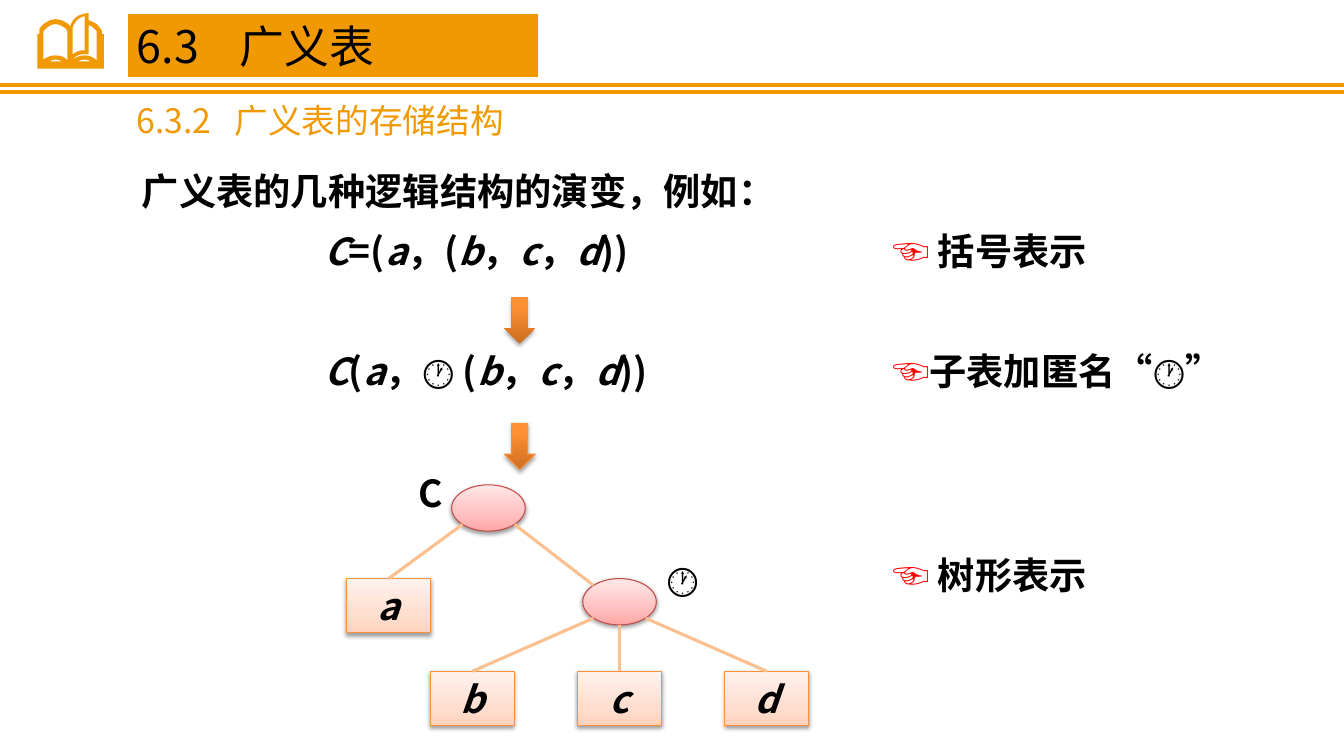
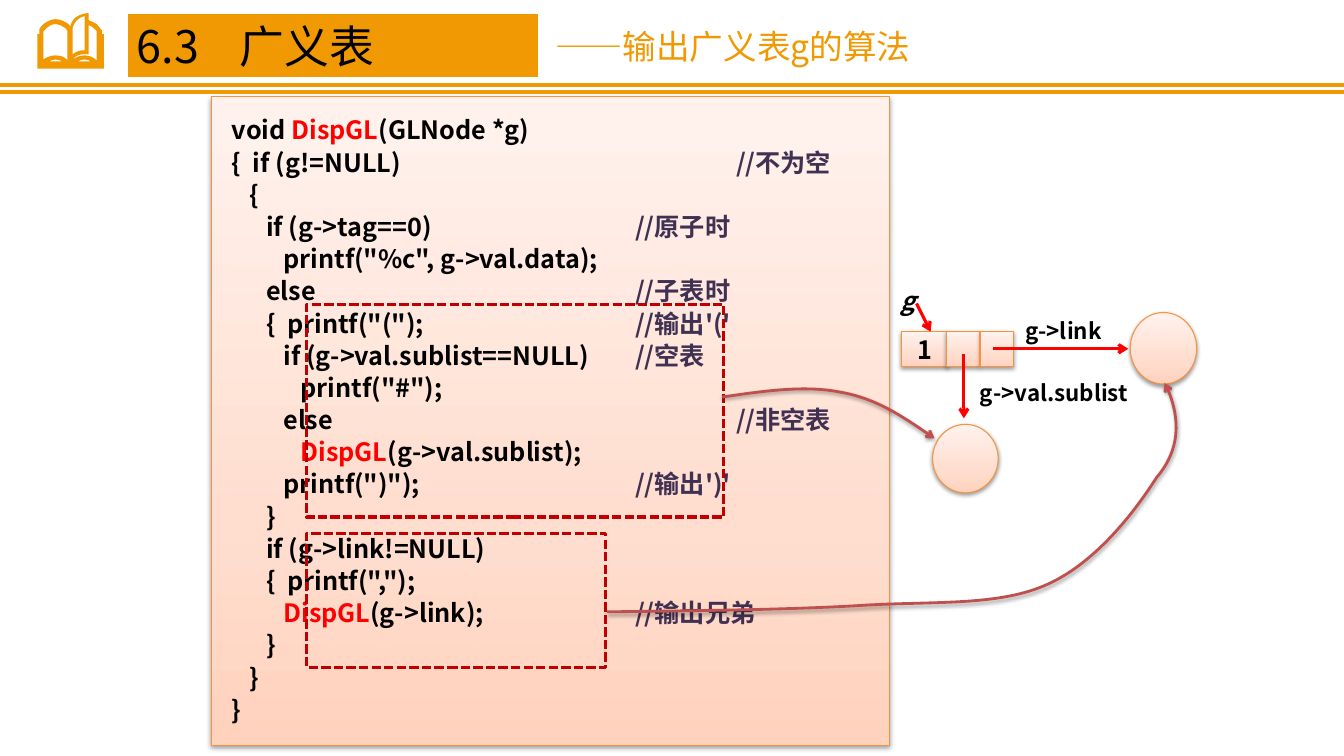
from dataclasses import dataclass
from itertools import groupby

from lxml import etree
from pptx import Presentation
from pptx.dml.color import RGBColor
from pptx.enum.dml import MSO_LINE
from pptx.enum.shapes import MSO_CONNECTOR, MSO_SHAPE
from pptx.enum.text import MSO_ANCHOR, PP_ALIGN
from pptx.oxml.ns import qn
from pptx.util import Inches, Pt

RECT, ELLIPSE, DOWN_ARROW = MSO_SHAPE.RECTANGLE, MSO_SHAPE.OVAL, MSO_SHAPE.DOWN_ARROW
STRAIGHT = MSO_CONNECTOR.STRAIGHT
DASHED = MSO_LINE.SQUARE_DOT
TOP, MIDDLE = MSO_ANCHOR.TOP, MSO_ANCHOR.MIDDLE
LEFT, CENTER = PP_ALIGN.LEFT, PP_ALIGN.CENTER
TOP_SIDE = 0


@dataclass(frozen=True)
class Theme:
    font: str = "Noto Sans CJK SC"
    accent: str = "F19903"
    ink: str = "000000"
    paper: str = "FFFFFF"
    red: str = "FF0000"
    comment: str = "403152"
    branch: str = "FAC090"
    peach_line: str = "F69240"
    rose_line: str = "BF4C48"
    dash: str = "C00000"
    curve: str = "C0504D"
    peach: tuple = ((0, "FFD2BD"), (35, "FFDED0"), (100, "FFF2ED"))
    rose: tuple = ((0, "FFA6A5"), (35, "FFC0BF"), (100, "FFE7E7"))
    orange: tuple = ((0, "CC6E20"), (80, "FF9034"), (100, "FF9136"))
    title: float = 32
    body: float = 26.6
    subtitle: float = 24
    code: float = 18
    label: float = 16


THEME = Theme()

# Hundredths of an inch; a segment has 2 numbers (line) or 6 (Bézier curve).
BOOK_ICON = [
    [(64, 21), (64, 17), (63, 16), (63, 16, 62, 14, 59, 11), (57, 10, 54, 8, 51, 7), (51, 0),
     (34, 1, 33, 13, 33, 13), (32, 12, 31, 12, 31, 11), (28, 9, 24, 6, 18, 6),
     (13, 6, 9, 9, 6, 11), (3, 14, 2, 16, 2, 16), (2, 21), (0, 21), (0, 55), (66, 55), (66, 21)],
    [(12, 48), (13, 47, 16, 46, 18, 46), (21, 46, 23, 47, 25, 48)],
    [(30, 47), (28, 44, 24, 42, 18, 42), (13, 42, 9, 44, 6, 46), (6, 18), (7, 17, 8, 16, 9, 15),
     (11, 13, 14, 11, 18, 11), (22, 11, 25, 13, 28, 15), (29, 16, 29, 17, 30, 18)],
    [(47, 3), (47, 37), (47, 37, 41, 36, 35, 41), (35, 15), (35, 15, 37, 5, 47, 3)],
    [(40, 48), (42, 47, 44, 46, 47, 46), (50, 46, 52, 47, 53, 48)],
    [(59, 47), (56, 44, 52, 42, 47, 42), (42, 42, 38, 44, 35, 46), (40, 39, 51, 41, 51, 41),
     (51, 12), (53, 12, 55, 14, 56, 15), (57, 16, 58, 17, 59, 18)],
]

# Code, comment, and the tab position of the comment in inches.
CODE_LINES = [
    ("void DispGL(GLNode *g)", "", 0),
    ("{  if (g!=NULL)", "//不为空", 5),
    ("   {", "", 0),
    ("      if (g->tag==0)", "//原子时", 4),
    ('         printf("%c", g->val.data);', "", 0),
    ("      else", "//子表时", 4),
    ('      {  printf("(");', "//输出'('", 4),
    ("         if (g->val.sublist==NULL)", "//空表", 4),
    ('            printf("#");', "", 0),
    ("         else", "//非空表", 5),
    ("            DispGL(g->val.sublist);", "", 0),
    ('         printf(")");', "//输出')'", 4),
    ("      }", "", 0),
    ("      if (g->link!=NULL)", "", 0),
    ('      {  printf(",");', "", 0),
    ("         DispGL(g->link);", "//输出兄弟", 4),
    ("      }", "", 0),
    ("   }", "", 0),
    ("}", "", 0),
]


def assign(target, values):
    for name, value in values.items():
        setattr(target, name, value)


def rgb(color):
    return RGBColor.from_string(color)


def child(parent, tag, **attributes):
    return etree.SubElement(parent, qn(tag), attributes)


def write(paragraph, runs, size, bold=True, align=LEFT, tab=0):
    """Fill a paragraph from (text, colour, italic) runs."""
    if tab:
        stops = child(paragraph._p.get_or_add_pPr(), "a:tabLst")
        child(stops, "a:tab", pos=str(Inches(tab)), algn="l")
    paragraph.alignment = align
    for text, color, italic in runs:
        run = paragraph.add_run()
        run.text = text
        assign(run.font, {"name": THEME.font, "size": Pt(size), "bold": bold, "italic": italic})
        run.font.color.rgb = rgb(color)
        child(run._r.get_or_add_rPr(), "a:ea", typeface=THEME.font)


def plain(text, color=THEME.ink, italic=False):
    return [(text, color, italic)]


def formula(text):
    """Set the Latin letters of a formula in italics."""
    def is_letter(symbol):
        return symbol.isascii() and symbol.isalpha()
    return [("".join(part), THEME.ink, italic) for italic, part in groupby(text, is_letter)]


def add_text(slide, x, y, w, h, runs, size=THEME.body, **style):
    frame = slide.shapes.add_textbox(*map(Inches, (x, y, w, h))).text_frame
    frame.word_wrap = True
    write(frame.paragraphs[0], runs, size, **style)


def paint_line(line, color, width):
    if color is None:
        line.fill.background()
    else:
        line.color.rgb = rgb(color)
        line.width = Pt(width)


def add_shadow(shape, alpha=38, distance=1.6):
    shape.shadow.inherit = False
    effects = shape._element.spPr.find(qn("a:effectLst"))
    shadow = child(effects, "a:outerShdw", blurRad=str(Pt(3.1)), dist=str(Pt(distance)),
                   dir="5400000", rotWithShape="0")
    child(child(shadow, "a:srgbClr", val=THEME.ink), "a:alpha", val=str(alpha * 1000))


def add_box(slide, kind, x, y, w, h, stops=THEME.peach, line=THEME.peach_line, **shadow):
    """Add a shape shaded from bottom to top, with a soft shadow."""
    box = slide.shapes.add_shape(kind, *map(Inches, (x, y, w, h)))
    box.fill.gradient()
    box.fill.gradient_angle = 90
    stop_list = box._element.spPr.find(qn("a:gradFill")).find(qn("a:gsLst"))
    for old_stop in list(stop_list):
        stop_list.remove(old_stop)
    for position, color in stops:
        stop = child(stop_list, "a:gs", pos=str(position * 1000))
        child(stop, "a:srgbClr", val=color)
    paint_line(box.line, line, 0.75)
    add_shadow(box, **shadow)
    return box


def add_cell(slide, x, y, w, h, text, size, italic=False):
    cell = add_box(slide, RECT, x, y, w, h)
    if text:
        cell.text_frame.vertical_anchor = MIDDLE
        write(cell.text_frame.paragraphs[0], plain(text, italic=italic), size, align=CENTER)
    return cell


def add_arrowhead(shape):
    child(shape._element.spPr.find(qn("a:ln")), "a:tailEnd", type="arrow")


def add_line(slide, start, end, color, width=2.25, arrow=False):
    line = slide.shapes.add_connector(STRAIGHT, *map(Inches, (*start, *end)))
    paint_line(line.line, color, width)
    if arrow:
        add_arrowhead(line)
    child(line._element.spPr, "a:effectLst")
    return line


def bend_curves(outline, contours):
    """Turn each three vertices that stand for a Bézier segment into one curve."""
    drawn = next(outline._element.iter(qn("a:path")))
    vertices = iter([step for step in drawn if step.tag != qn("a:close")])
    for segment in (segment for contour in contours for segment in contour):
        first = next(vertices)
        if len(segment) == 6:
            first.tag_name = None
            curve = etree.Element(qn("a:cubicBezTo"))
            drawn.replace(first, curve)
            curve.extend(list(first))
            for vertex in (next(vertices), next(vertices)):
                curve.extend(list(vertex))
                drawn.remove(vertex)


def add_outline(slide, contours, x, y, unit=1.0, close=True):
    builder = None
    for contour in contours:
        start, *rest = [(Inches(x + segment[i] * unit), Inches(y + segment[i + 1] * unit))
                        for segment in contour for i in range(0, len(segment), 2)]
        if builder is None:
            builder = slide.shapes.build_freeform(*start)
        else:
            builder.move_to(*start)
        builder.add_line_segments(rest, close=close)
    outline = builder.convert_to_shape()
    bend_curves(outline, contours)
    outline.shadow.inherit = False
    return outline


def header(slide, width):
    for y in (0.84, 0.91):
        add_line(slide, (0, y), (width, y), THEME.accent, 3)
    icon = add_outline(slide, BOOK_ICON, 0.37, 0.13, 0.01)
    icon.fill.solid()
    icon.fill.fore_color.rgb = rgb(THEME.accent)
    icon.line.fill.background()
    band = slide.shapes.add_shape(RECT, *map(Inches, (1.26, 0.13, 4.08, 0.64)))
    band.shadow.inherit = False
    band.fill.solid()
    band.fill.fore_color.rgb = rgb(THEME.accent)
    paint_line(band.line, THEME.paper, 0.75)
    band.text_frame.vertical_anchor = MIDDLE
    write(band.text_frame.paragraphs[0], plain("6.3\t广义表"), THEME.title, bold=False, tab=1.02)


def subtitle(slide, x, y, text, tab=0):
    add_text(slide, x, y, 4.21, 0.5, plain(text, THEME.accent), THEME.subtitle, bold=False, tab=tab)


def notation_row(slide, x, y, expression, meaning):
    if expression:
        add_text(slide, x, y, 3.96, 0.55, formula(expression))
    add_text(slide, x + 5.63, y, 3.54, 0.55, plain("☜", THEME.red) + plain(meaning))


def step_arrow(slide, x, y, line):
    add_box(slide, DOWN_ARROW, x, y, 0.31, 0.46, THEME.orange, line, alpha=35, distance=1.8)


def tree(slide, x, y):
    node_w, node_h, leaf_w, leaf_h = 0.73, 0.46, 0.83, 0.54

    def node(left, top):
        """Draw an inner node; return a function giving points on its rim."""
        add_box(slide, ELLIPSE, left, top, node_w, node_h, THEME.rose, THEME.rose_line)
        return lambda dx, dy: (left + node_w / 2 * (1 + dx), top + node_h / 2 * (1 + dy))

    def leaf(start, left, top, name):
        cell = add_cell(slide, left, top, leaf_w, leaf_h, name, THEME.body, italic=True)
        add_line(slide, start, (left + leaf_w / 2, top), THEME.branch).end_connect(cell, TOP_SIDE)

    diagonal = 0.71
    root = node(x + 1.04, y)
    sublist = node(x + 2.34, y + 0.93)
    add_line(slide, root(diagonal, diagonal), sublist(-diagonal, -diagonal), THEME.branch)
    leaf(root(-diagonal, diagonal), x, y + 0.93, "a")
    rim_points = ((-diagonal, diagonal), (0, 1), (diagonal, diagonal))
    for column, (name, rim) in enumerate(zip("bcd", rim_points)):
        leaf(sublist(*rim), x + 0.83 + 1.46 * column, y + 1.85, name)
    for dx, dy, name in ((0.52, -0.19, "C"), (3.02, 0.66, "🕐")):
        add_text(slide, x + dx, y + dy, 0.62, 0.55, plain(name), align=CENTER)


def code_panel(slide, x, y, w, h):
    frame = add_box(slide, RECT, x, y, w, h).text_frame
    assign(frame, {"margin_left": Inches(0.2), "margin_right": Inches(0.1), "word_wrap": True,
                   "margin_top": Inches(0.16), "margin_bottom": Inches(0.16),
                   "vertical_anchor": TOP})
    for row, (code, comment, tab) in enumerate(CODE_LINES):
        paragraph = frame.add_paragraph() if row else frame.paragraphs[0]
        before, call, after = code.partition("DispGL")
        if comment:
            after, before = (after + "\t", before) if call else (after, before + "\t")
        runs = plain(before) + plain(call, THEME.red) + plain(after) + plain(comment, THEME.comment)
        write(paragraph, [run for run in runs if run[0]], THEME.code, tab=tab)
        paragraph.line_spacing = Pt(23)


def node_diagram(slide, x, y):
    """Draw a list node with its link and sublist pointers."""
    for dx, width, text in ((0, 0.46, "1"), (0.45, 0.33, ""), (0.78, 0.33, "")):
        add_cell(slide, x + dx, y, width, 0.35, text, THEME.code)
    for dx, dy, w, h in ((2.27, -0.19, 0.66, 0.71), (0.31, 0.92, 0.65, 0.68)):
        add_box(slide, ELLIPSE, x + dx, y + dy, w, h)
    for x1, y1, x2, y2 in ((0.15, -0.28, 0.29, 0), (0.91, 0.17, 2.25, 0.17),
                           (0.62, 0.22, 0.62, 0.86)):
        add_line(slide, (x + x1, y + y1), (x + x2, y + y2), THEME.red, arrow=True)
    add_text(slide, x - 0.11, y - 0.51, 0.39, 0.4, plain("g", italic=True), THEME.code)
    for dx, dy, width, text in ((1.13, -0.19, 1.11, "g->link"), (0.68, 0.42, 2.18, "g->val.sublist")):
        add_text(slide, x + dx, y + dy, width, 0.37, plain(text), THEME.label)


def recursion_callout(slide, x, y, w, h, curve):
    """Frame a piece of code and point from it to the node it handles."""
    frame = slide.shapes.add_shape(RECT, *map(Inches, (x, y, w, h)))
    frame.shadow.inherit = False
    frame.fill.background()
    paint_line(frame.line, THEME.dash, 2.25)
    frame.line.dash_style = DASHED
    pointer = add_outline(slide, [curve], x, y, close=False)
    pointer.fill.background()
    paint_line(pointer.line, THEME.curve, 2)
    add_arrowhead(pointer)
    add_shadow(pointer)


def storage_slide(slide):
    subtitle(slide, 1.26, 0.94, "6.3.2\t广义表的存储结构", tab=0.97)
    add_text(slide, 1.31, 1.62, 8.44, 0.55, plain("广义表的几种逻辑结构的演变，例如："))
    for y, expression, meaning in ((2.22, "C=(a，(b，c，d))", " 括号表示"),
                                   (3.41, "C(a，🕐 (b，c，d))", "子表加匿名“🕐”"),
                                   (5.43, "", " 树形表示")):
        notation_row(slide, 3.12, y, expression, meaning)
    for y, line in ((2.95, None), (4.2, THEME.peach_line)):
        step_arrow(slide, 5, y, line)
    tree(slide, 3.44, 4.81)


def output_slide(slide):
    subtitle(slide, 5.41, 0.21, "——输出广义表g的算法")
    code_panel(slide, 2.1, 0.96, 6.72, 6.44)
    node_diagram(slide, 8.94, 3.29)
    recursion_callout(slide, 3.04, 3.02, 4.14, 2.11, [
        (4.12, 0.92), (4.53, 0.86, 4.94, 0.8, 5.29, 0.87), (5.64, 0.93, 5.94, 1.13, 6.23, 1.33)])
    recursion_callout(slide, 3.04, 5.29, 2.97, 1.33, [
        (2.98, 0.78), (3.86, 0.77, 4.73, 0.76, 5.45, 0.72), (6.18, 0.67, 6.83, 0.73, 7.32, 0.52),
        (7.82, 0.31, 8.22, -0.22, 8.43, -0.55), (8.72, -0.89, 8.59, -1.38, 8.51, -1.49)])


def main():
    deck = Presentation()
    assign(deck, {"slide_width": Inches(13.33), "slide_height": Inches(7.5)})
    for fill_slide in (storage_slide, output_slide):
        slide = deck.slides.add_slide(deck.slide_layouts[6])
        header(slide, 13.33)
        fill_slide(slide)
    deck.save("out.pptx")


if __name__ == "__main__":
    main()
